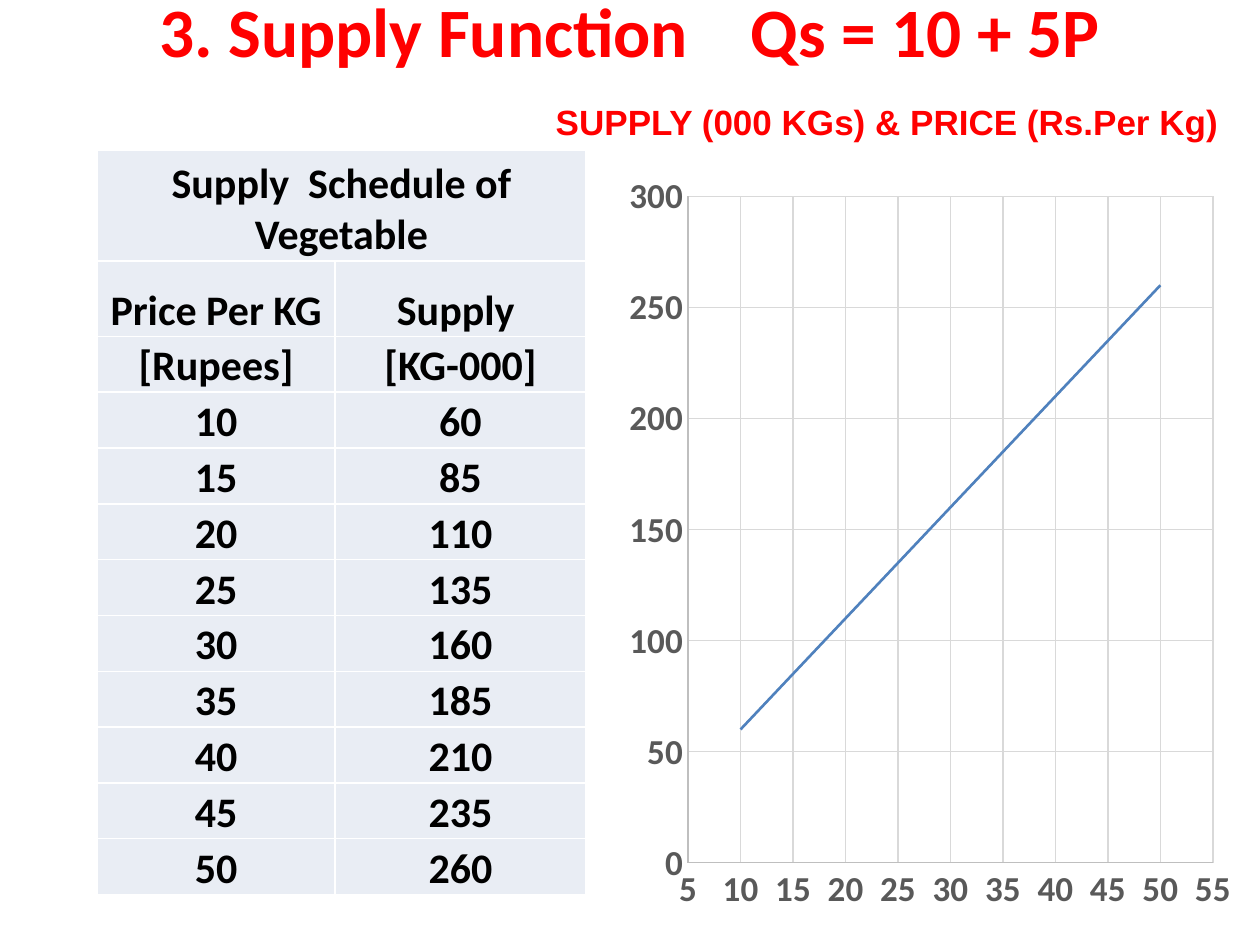
from dataclasses import dataclass

from lxml import etree
from pptx import Presentation
from pptx import util as u
from pptx.chart.data import XyChartData
from pptx.dml.color import RGBColor
from pptx.enum import chart as charts, text
from pptx.oxml import parse_xml
from pptx.oxml.ns import nsdecls, qn

Inches = u.Inches


@dataclass(frozen=True)
class Theme:
    red: str = "FF0000"
    ink: str = "000000"
    cell: str = "E9EDF4"
    border: str = "FFFFFF"
    label: str = "595959"
    axis: str = "BFBFBF"
    grid: str = "D9D9D9"
    series: str = "4F81BD"
    body_font: str = "Calibri"
    caption_font: str = "Arial"
    title_size: float = 39.6
    table_size: float = 24
    chart_size: float = 20


THEME = Theme()
PRICES = range(10, 55, 5)
SCHEDULE = [(price, 10 + 5 * price) for price in PRICES]


def style_font(font, size, color, name=THEME.body_font):
    font.size = u.Pt(size)
    font.bold = True
    font.name = name
    font.color.rgb = RGBColor.from_string(color)


def add_centred_run(para, words, size, color, name=THEME.body_font):
    para.alignment = text.PP_ALIGN.CENTER
    span = para.add_run()
    span.text = words
    style_font(span.font, size, color, name)


def style_line(line, color, width):
    line.color.rgb = RGBColor.from_string(color)
    line.width = u.Pt(width)


def add_title(page, box):
    frame = page.shapes.add_textbox(*box).text_frame
    frame.word_wrap = True
    frame.vertical_anchor = text.MSO_ANCHOR.MIDDLE
    frame.margin_top, frame.margin_bottom = 0, Inches(0.61)
    add_centred_run(frame.paragraphs[0], "3. Supply Function    Qs = 10 + 5P",
                    THEME.title_size, THEME.red)


def add_caption(page, box):
    frame = page.shapes.add_textbox(*box).text_frame
    frame.word_wrap = True
    add_centred_run(frame.paragraphs[0], "SUPPLY (000 KGs) & PRICE (Rs.Per Kg)",
                    THEME.chart_size, THEME.red, THEME.caption_font)


def add_borders(cell):
    """Outline a cell; borders must precede its fill in the XML."""
    props = cell._tc.get_or_add_tcPr()
    for place, side in enumerate(("lnL", "lnR", "lnT", "lnB")):
        props.insert(place, parse_xml(
            f'<a:{side} {nsdecls("a")} w="{u.Pt(1)}"><a:solidFill>'
            f'<a:srgbClr val="{THEME.border}"/></a:solidFill></a:{side}>'))


def fill_cell(cell, words):
    cell.fill.solid()
    cell.fill.fore_color.rgb = RGBColor.from_string(THEME.cell)
    add_borders(cell)
    cell.vertical_anchor = text.MSO_ANCHOR.BOTTOM
    cell.margin_left = cell.margin_right = cell.margin_top = Inches(0.01)
    cell.margin_bottom = 0
    if words:
        add_centred_run(cell.text_frame.paragraphs[0], words,
                        THEME.table_size, THEME.ink)


def add_schedule(page, box):
    rows = [("Supply  Schedule of Vegetable", ""), ("Price Per KG", "Supply "),
            ("[Rupees]", "[KG-000]")]
    rows += [(str(price), str(supply)) for price, supply in SCHEDULE]
    table = page.shapes.add_table(len(rows), 2, *box).table

    width, height = box[2:]
    table.columns[0].width = Inches(1.89)
    table.columns[1].width = width - Inches(1.89)
    heading_heights = [Inches(0.88), Inches(0.6)]
    row_height = (height - sum(heading_heights)) // (len(rows) - 2)
    heights = heading_heights + [row_height] * (len(rows) - 2)

    for row, row_size, words in zip(table.rows, heights, rows):
        row.height = row_size
        for cell, label in zip(row.cells, words):
            fill_cell(cell, label)
    table.cell(0, 0).merge(table.cell(0, 1))


def style_axis(axis, low, high, step):
    axis.minimum_scale, axis.maximum_scale, axis.major_unit = low, high, step
    axis.major_tick_mark = axis.minor_tick_mark = charts.XL_TICK_MARK.NONE
    axis.has_major_gridlines = True
    style_line(axis.major_gridlines.format.line, THEME.grid, 0.75)
    style_line(axis.format.line, THEME.axis, 0.75)
    style_font(axis.tick_labels.font, THEME.chart_size, THEME.label)


def place_plot(chart, **fractions):
    """Fix the inner plot area as fractions of the chart."""
    plot_area = chart._chartSpace.chart.plotArea
    for old in plot_area.findall(qn("c:layout")):
        plot_area.remove(old)
    layout = etree.Element(qn("c:layout"))
    manual = etree.SubElement(layout, qn("c:manualLayout"))
    settings = {"layoutTarget": "inner", "xMode": "edge", "yMode": "edge", **fractions}
    for tag, value in settings.items():
        etree.SubElement(manual, qn(f"c:{tag}")).set("val", str(value))
    plot_area.insert(0, layout)


def add_supply_chart(page, box):
    data = XyChartData()
    points = data.add_series("Series 1")
    for price, supply in SCHEDULE:
        points.add_data_point(price, supply)
    kind = charts.XL_CHART_TYPE.XY_SCATTER_SMOOTH_NO_MARKERS
    chart = page.shapes.add_chart(kind, *box, data).chart
    chart.has_legend = chart.has_title = False
    chart.font.name = THEME.body_font
    chart.font.size = u.Pt(10)
    chart.plots[0].vary_by_categories = False

    series = chart.plots[0].series[0]
    series.smooth = True
    series.marker.style = charts.XL_MARKER_STYLE.NONE
    style_line(series.format.line, THEME.series, 1.5)
    style_axis(chart.category_axis, 5, 55, 5)
    style_axis(chart.value_axis, 0, 300, 50)
    place_plot(chart, x=0.14, y=0.06, w=0.82, h=0.86)


def main():
    deck = Presentation()
    deck.slide_width, deck.slide_height = Inches(10), Inches(7.5)
    page = deck.slides.add_slide(deck.slide_layouts[6])
    regions = [
        (add_title, (0.5, 0, 9, 1.08)),
        (add_schedule, (0.77, 1.19, 3.88, 5.91)),
        (add_supply_chart, (4.75, 1.19, 5.08, 6.15)),
        (add_caption, (4.08, 0.75, 5.92, 0.44)),
    ]
    for add_region, box in regions:
        add_region(page, [Inches(length) for length in box])
    deck.save("out.pptx")


if __name__ == "__main__":
    main()
